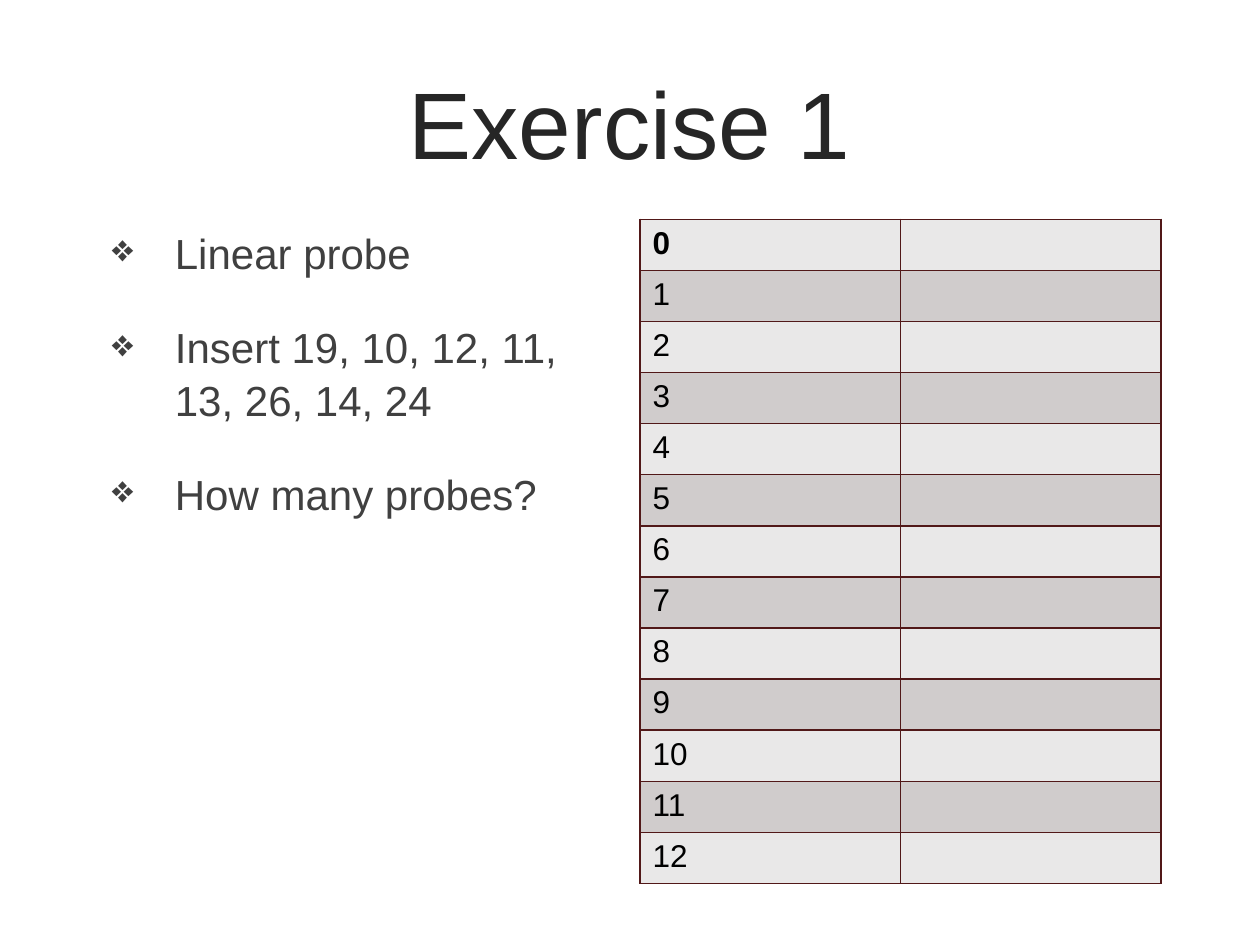
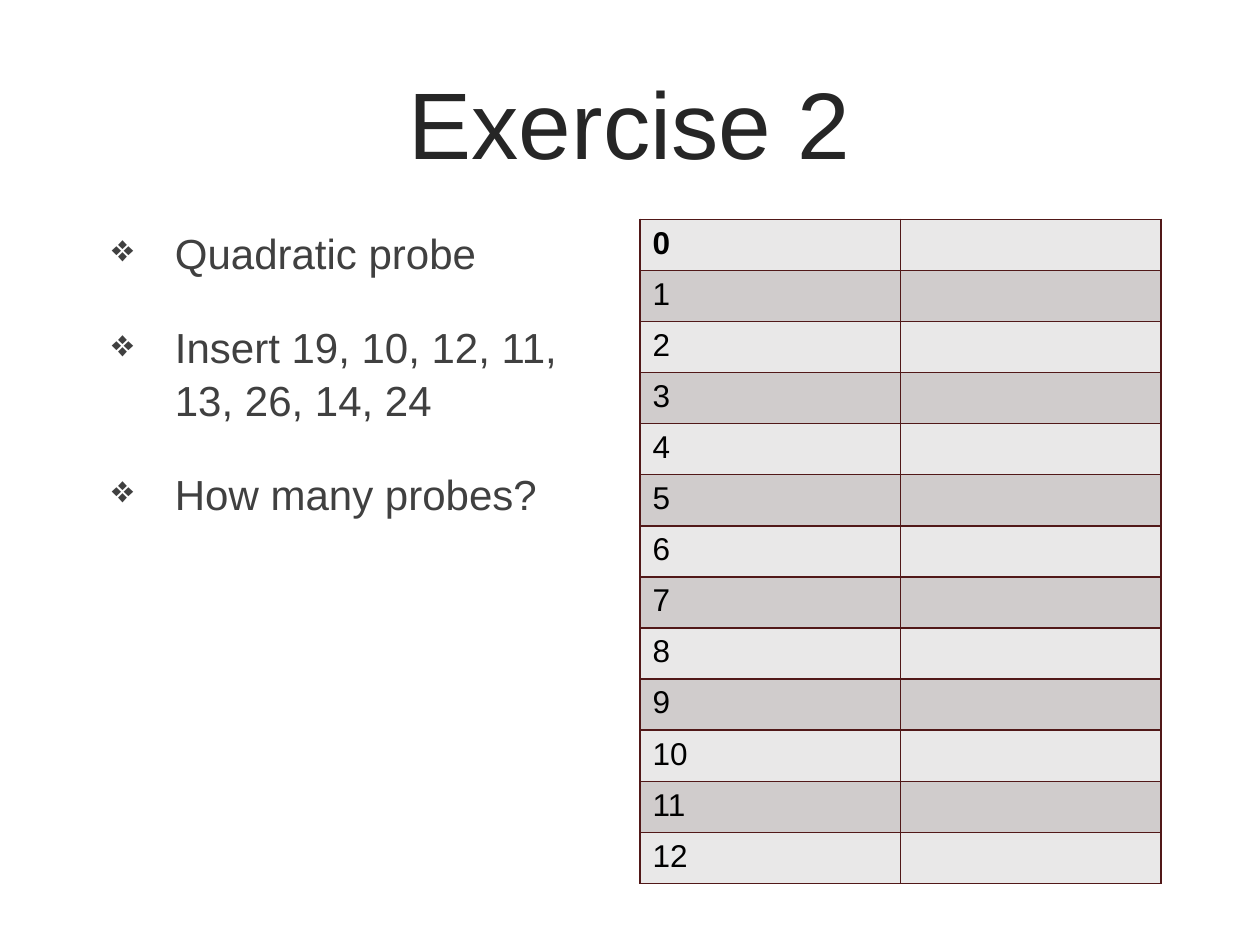
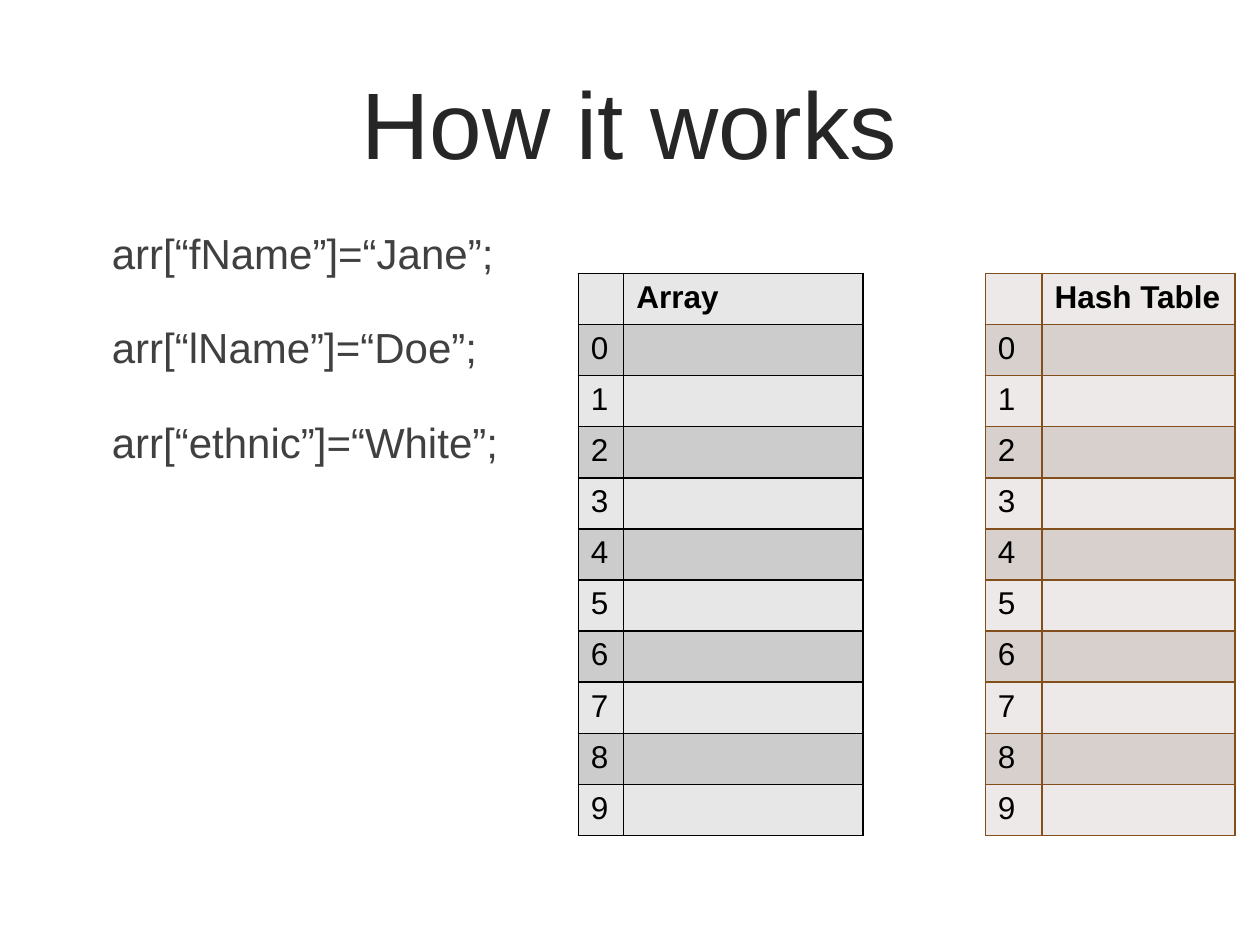
"""Build three slides on hash table probing and associative arrays."""
from lxml import etree
from pptx import Presentation
from pptx.dml.color import RGBColor
from pptx.enum import text
from pptx.oxml import ns
from pptx.util import Pt

FONT = "Arial"
TITLE_COLOR = RGBColor(0x26, 0x26, 0x26)
BODY_COLOR = RGBColor(0x40, 0x40, 0x40)
BLACK = RGBColor(0x00, 0x00, 0x00)
MAROON = RGBColor(0x51, 0x18, 0x18)
BROWN = RGBColor(0x82, 0x4F, 0x1C)
MAROON_BANDS = RGBColor(0xE9, 0xE8, 0xE8), RGBColor(0xD0, 0xCC, 0xCC)
BROWN_BANDS = RGBColor(0xED, 0xE9, 0xE8), RGBColor(0xD8, 0xD0, 0xCD)
GRAY_BANDS = RGBColor(0xE7, 0xE7, 0xE7), RGBColor(0xCC, 0xCC, 0xCC)

MARGIN = 56.88
CONTENT_TOP = 125.28
ROW_HEIGHT = 29.2
BULLET_INDENT = 36


def add_text(page, top, width, height, lines, size, color):
    """Add a wrapped text box at the left margin and return its frame."""
    box = page.shapes.add_textbox(Pt(MARGIN), Pt(top), Pt(width), Pt(height))
    frame = box.text_frame
    frame.word_wrap = True
    frame.text = "\n".join(lines)
    for para in frame.paragraphs:
        para.font.name = FONT
        para.font.size = Pt(size)
        para.font.color.rgb = color
    return frame


def add_slots(page, left, top, widths, rows, bands, border):
    """Add a banded, bordered table whose first row is bold."""
    table = page.shapes.add_table(
        len(rows), len(widths), Pt(left), Pt(top),
        Pt(sum(widths)), Pt(ROW_HEIGHT * len(rows))).table
    table.first_row = False
    table.horz_banding = False
    for column, width in zip(table.columns, widths):
        column.width = Pt(width)
    for index, labels in enumerate(rows):
        table.rows[index].height = Pt(ROW_HEIGHT)
        for cell, label in zip(table.rows[index].cells, labels):
            properties = cell._tc.get_or_add_tcPr()
            for side in ("a:lnL", "a:lnR", "a:lnT", "a:lnB"):
                line = etree.SubElement(properties, ns.qn(side), w=str(Pt(1)))
                fill = etree.SubElement(line, ns.qn("a:solidFill"))
                etree.SubElement(fill, ns.qn("a:srgbClr"), val=str(border))
            cell.fill.solid()
            cell.fill.fore_color.rgb = bands[index % 2]
            cell.text = label
            font = cell.text_frame.paragraphs[0].font
            font.name = FONT
            font.size = Pt(18)
            font.bold = index == 0
            font.color.rgb = BLACK


deck = Presentation()
deck.slide_width = Pt(720)
deck.slide_height = Pt(540)

exercise_slots = [(str(slot), "") for slot in range(13)]
array_slots = [(str(slot), "") for slot in range(10)]
exercise_tables = [(365.76, CONTENT_TOP, (148.8, 148.8), exercise_slots, MAROON_BANDS, MAROON)]
lookup_tables = [
    (563.04, 156.24, (32.4, 110.16), [("", "Hash Table")] + array_slots, BROWN_BANDS, BROWN),
    (330.48, 156.24, (25.92, 136.8), [("", "Array")] + array_slots, GRAY_BANDS, BLACK),
]
tasks = ["Insert 19, 10, 12, 11, 13, 26, 14, 24", "How many probes?"]
assignments = ["arr[“fName”]=“Jane”;", "arr[“lName”]=“Doe”;", "arr[“ethnic”]=“White”;"]

slides = [
    ("Exercise 1", ["Linear probe"] + tasks, 297.36, True, exercise_tables),
    ("Exercise 2", ["Quadratic probe"] + tasks, 297.36, True, exercise_tables),
    ("How it works", assignments, 273.6, False, lookup_tables),
]

for title, lines, body_width, bulleted, tables in slides:
    page = deck.slides.add_slide(deck.slide_layouts[6])

    heading = add_text(page, 24.48, 605.52, 90, [title], 54, TITLE_COLOR)
    heading.vertical_anchor = text.MSO_ANCHOR.MIDDLE
    heading.paragraphs[0].alignment = text.PP_ALIGN.CENTER

    body = add_text(page, CONTENT_TOP, body_width, 360.72, lines, 24, BODY_COLOR)
    for para in body.paragraphs:
        para.space_before = Pt(24)
        para.line_spacing = 1.04
        if bulleted:
            properties = para._p.get_or_add_pPr()
            properties.set("marL", str(Pt(BULLET_INDENT)))
            properties.set("indent", str(Pt(-BULLET_INDENT)))
            bullet_size = etree.Element(ns.qn("a:buSzPct"), val="90000")
            bullet = etree.Element(ns.qn("a:buChar"), char="❖")
            defaults = properties.find(ns.qn("a:defRPr"))
            defaults.addprevious(bullet_size)
            defaults.addprevious(bullet)
    for para in heading.paragraphs + body.paragraphs:
        for span in para.runs:
            span.font.name = FONT
            span.font.size = para.font.size
            span.font.color.rgb = para.font.color.rgb

    for table in tables:
        add_slots(page, *table)

deck.save("out.pptx")
